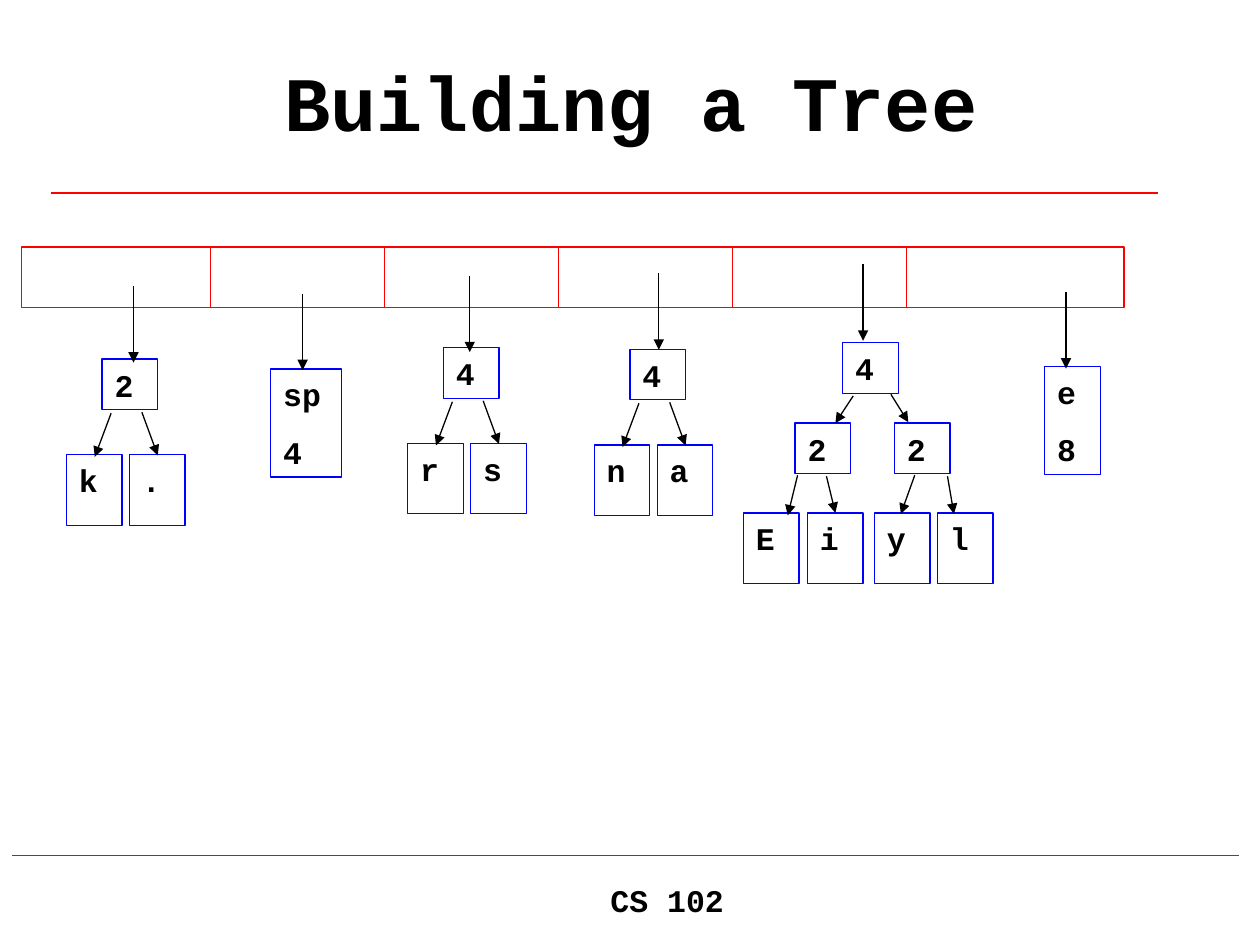
from dataclasses import dataclass
from lxml.etree import SubElement
from pptx import Presentation
from pptx.dml.color import RGBColor
from pptx.enum.shapes import MSO_CONNECTOR, MSO_SHAPE
from pptx.enum.text import MSO_ANCHOR, PP_ALIGN
from pptx.oxml.ns import qn
from pptx.util import Cm, Pt


@dataclass(frozen=True)
class Theme:
    font: str = "Courier New"
    text: RGBColor = RGBColor(0, 0, 0)
    paper: RGBColor = RGBColor(255, 255, 255)
    rule: RGBColor = RGBColor(255, 0, 0)
    node: RGBColor = RGBColor(0, 0, 255)
    title: Pt = Pt(44)
    body: Pt = Pt(18)
    line: Pt = Pt(0.75)


theme = Theme()


def write(tf, lines, size, align, before=0):
    tf.text = "\n".join(lines)
    tf.word_wrap = True
    tf.margin_left = tf.margin_right = Cm(0.25)
    tf.margin_top = tf.margin_bottom = Cm(0.13)
    for p in tf.paragraphs:
        p.alignment = align
        p.space_before = Pt(before)
        for r in p.runs:
            r.font.name = theme.font
            r.font.size = size
            r.font.bold = True
            r.font.color.rgb = theme.text


def draw_line(s, x1, y1, x2, y2, color, arrow=False):
    line = s.shapes.add_connector(MSO_CONNECTOR.STRAIGHT, Cm(x1), Cm(y1), Cm(x2), Cm(y2))
    line.line.color.rgb = color
    line.line.width = theme.line
    sp_pr = line._element.spPr
    if arrow:
        SubElement(sp_pr.find(qn("a:ln")), qn("a:tailEnd"), type="triangle")
    SubElement(sp_pr, qn("a:effectLst"))


prs = Presentation()
prs.slide_width, prs.slide_height = Cm(25.4), Cm(19.05)
s = prs.slides.add_slide(prs.slide_layouts[5])

draw_line(s, 1.02, 3.89, 23.34, 3.89, theme.rule)
draw_line(s, 0.25, 17.25, 24.97, 17.25, theme.rule)

title = s.shapes.title
title.left, title.top, title.width, title.height = Cm(1.93), Cm(0.43), Cm(21.59), Cm(3.18)
title.text_frame.vertical_anchor = MSO_ANCHOR.MIDDLE
write(title.text_frame, ["Building a Tree"], theme.title, PP_ALIGN.CENTER)

footer = s.shapes.add_textbox(Cm(6.81), Cm(17.63), Cm(13.28), Cm(1.27))
write(footer.text_frame, ["CS 102"], theme.body, PP_ALIGN.CENTER)

queue_top, queue_height = 4.98, 1.22
queue = s.shapes.add_shape(MSO_SHAPE.RECTANGLE, Cm(0.43), Cm(queue_top), Cm(22.23), Cm(queue_height))
queue.shadow.inherit = False
queue.fill.solid()
queue.fill.fore_color.rgb = theme.paper
queue.line.color.rgb = theme.rule
queue.line.width = theme.line
for i in range(5):
    x = 4.24 + 3.51 * i
    draw_line(s, x, queue_top, x, queue_top + queue_height, theme.rule)

node_width, node_height, leaf_height, tall_height = 1.12, 1.02, 1.42, 2.18
nodes = [
    (["sp", "4"], 5.46, 7.44, 1.42, tall_height),
    (["e", "8"], 21.06, 7.39, node_width, tall_height),
    (["4"], 16.99, 6.91, node_width, node_height),
    (["2"], 16.03, 8.53, node_width, node_height),
    (["2"], 18.03, 8.53, node_width, node_height),
]
for letter, x in zip("Eiyl", (14.99, 16.28, 17.63, 18.9)):
    nodes.append(([letter], x, 10.34, node_width, leaf_height))

arrows = [
    (17.2, 7.98, 16.84, 8.53),
    (17.96, 7.95, 18.31, 8.51),
    (16.08, 9.58, 15.88, 10.39),
    (16.66, 9.6, 16.84, 10.34),
    (18.44, 9.58, 18.16, 10.36),
    (19.1, 9.6, 19.23, 10.36),
]

for count, letters, x, y in [("2", "k.", 2.06, 7.24), ("4", "rs", 8.94, 7.01), ("4", "na", 12.7, 7.04)]:
    nodes.append(([count], x, y, node_width, node_height))
    for letter, dx in zip(letters, (-0.72, 0.55)):
        nodes.append(([letter], x + dx, y + 1.93, node_width, leaf_height))
    arrows.append((x + 0.18, y + 1.09, x - 0.15, y + 1.97))
    arrows.append((x + 0.8, y + 1.07, x + 1.12, y + 1.94))

for x, y in [(2.69, 5.77), (6.1, 5.92), (9.47, 5.56), (13.28, 5.51), (17.4, 5.33), (21.49, 5.89)]:
    arrows.append((x, y, x, y + 1.54))

for lines, x, y, width, height in nodes:
    sp = s.shapes.add_shape(MSO_SHAPE.RECTANGLE, Cm(x), Cm(y), Cm(width), Cm(height))
    sp.shadow.inherit = False
    sp.fill.background()
    sp.line.color.rgb = theme.node
    sp.line.width = theme.line
    sp.text_frame.vertical_anchor = MSO_ANCHOR.TOP
    write(sp.text_frame, lines, theme.body, PP_ALIGN.LEFT, 11.2)

for ends in arrows:
    draw_line(s, *ends, theme.text, arrow=True)

prs.save("out.pptx")
